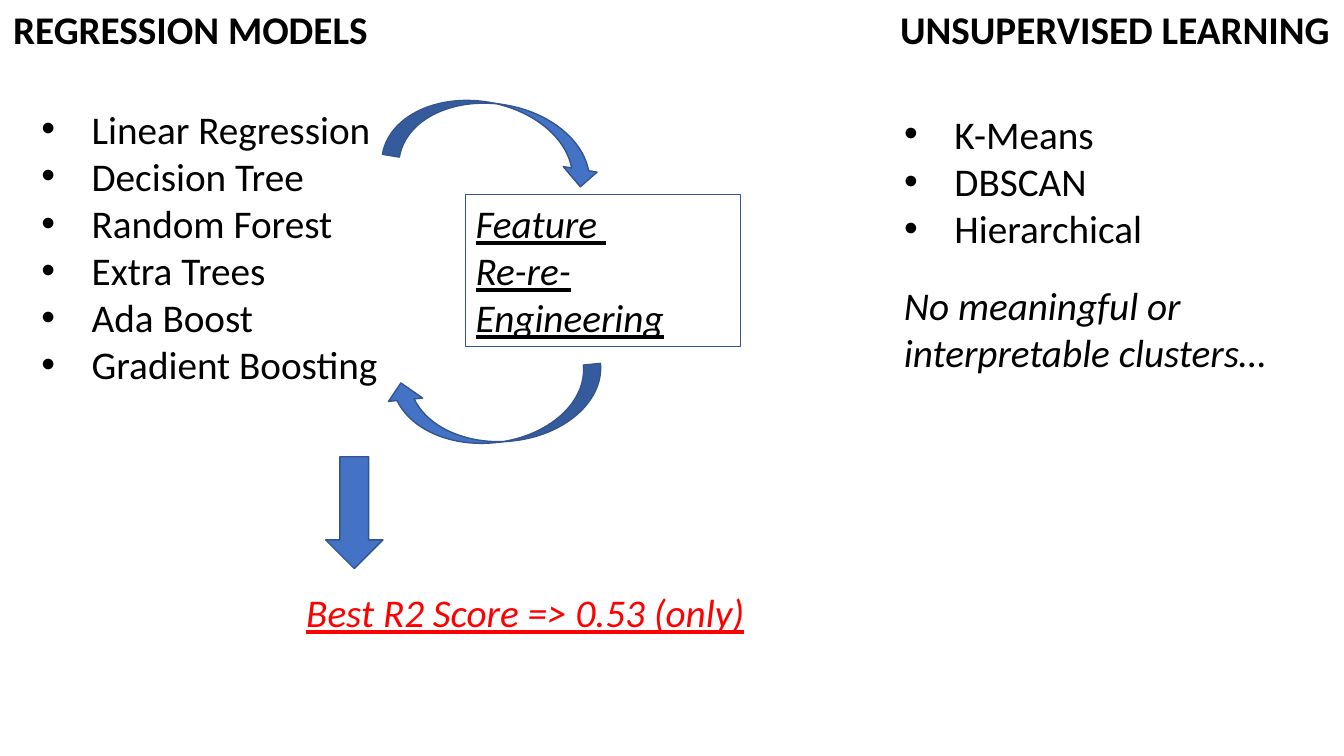
from dataclasses import dataclass
from lxml import etree
from pptx import Presentation
from pptx import util as u
from pptx.dml.color import RGBColor
from pptx.enum import shapes, text
from pptx.oxml.ns import qn

Kind = shapes.MSO_SHAPE
Side = text.PP_ALIGN


@dataclass(frozen=True)
class Theme:
    font: str = "Calibri"
    size: float = 28
    ink: str = "000000"
    alert: str = "FF0000"
    fill: str = "4472C4"
    edge: str = "325491"
    indent: float = 36


class Board:
    def __init__(self, slide, theme):
        self.slide = slide
        self.theme = theme

    def place(self, shape, box):
        shape.left, shape.top, shape.width, shape.height = map(u.Pt, box)

    def label(self, shape, lines, side=Side.LEFT, color=None, bold=False,
              slant=False, under=False):
        frame = shape.text_frame
        frame.text = "\n".join(lines)
        frame.word_wrap = True
        frame.auto_size = text.MSO_AUTO_SIZE.NONE
        frame.vertical_anchor = text.MSO_ANCHOR.TOP
        for para in frame.paragraphs:
            para.alignment = side
            para.space_before = u.Pt(0)
            for run in para.runs:
                font = run.font
                font.name = self.theme.font
                font.size = u.Pt(self.theme.size)
                font.bold, font.italic, font.underline = bold, slant, under
                font.color.rgb = RGBColor.from_string(color or self.theme.ink)

    def head(self, shape, line, box, side):
        self.place(shape, box)
        self.label(shape, [line], side, bold=True)

    def bullets(self, shape, lines, box):
        self.place(shape, box)
        self.label(shape, lines, Side.JUSTIFY)
        indent = u.Pt(self.theme.indent)
        for para in shape.text_frame.paragraphs:
            props = para._p.get_or_add_pPr()
            props.set("marL", str(indent))
            props.set("indent", str(-indent))
            etree.SubElement(props, qn("a:buFont"), typeface="Arial")
            etree.SubElement(props, qn("a:buChar"), char="•")

    def note(self, line, box, **style):
        shape = self.slide.shapes.add_textbox(*map(u.Pt, box))
        self.label(shape, [line], slant=True, **style)

    def shape(self, kind, box, fill=None, width=1, turn=0):
        shape = self.slide.shapes.add_shape(kind, *map(u.Pt, box))
        shape.shadow.inherit = False
        shape.rotation = turn
        if fill:
            shape.fill.solid()
            shape.fill.fore_color.rgb = RGBColor.from_string(fill)
        else:
            shape.fill.background()
        shape.line.color.rgb = RGBColor.from_string(self.theme.edge)
        shape.line.width = u.Pt(width)
        return shape


def main():
    deck = Presentation()
    deck.slide_width, deck.slide_height = u.Pt(960), u.Pt(540)
    slide = deck.slides.add_slide(deck.slide_layouts.get_by_name("Comparison"))
    theme = Theme()
    board = Board(slide, theme)
    slots = {p.placeholder_format.idx: p for p in slide.placeholders}
    spare = slots[1].element
    spare.getparent().remove(spare)

    board.head(slots[0], "REGRESSION MODELS", (2.2, 0, 291.6, 41), Side.LEFT)
    board.bullets(slots[2], ["Linear Regression", "Decision Tree", "Random Forest",
                             "Extra Trees", "Ada Boost", "Gradient Boosting"],
                  (22.3, 71.3, 331.2, 211))
    board.note("Best R2 Score => 0.53 (only)", (211.7, 416.9, 331.2, 41),
               side=Side.JUSTIFY, color=theme.alert, under=True)

    board.head(slots[3], "UNSUPERVISED LEARNING", (590.4, 0, 366.5, 41), Side.RIGHT)
    board.bullets(slots[4], ["K-Means", "DBSCAN", "Hierarchical"],
                  (638.6, 74.9, 309.6, 108.7))
    board.note("No meaningful or interpretable clusters…",
               (638.6, 197.3, 309.6, 74.9))

    for top, turn in ((20.9, 279.3), (213.8, 84.4)):
        board.shape(Kind.CURVED_LEFT_ARROW, (329.4, top, 49, 155.5),
                    theme.fill, turn=turn)
    card = board.shape(Kind.RECTANGLE, (332.6, 139, 196.6, 108.7), width=0.75)
    board.label(card, ["Feature ", "Re-re- Engineering"], Side.JUSTIFY,
                slant=True, under=True)
    board.shape(Kind.DOWN_ARROW, (232.6, 326.2, 41, 79.9), theme.fill)

    deck.save("out.pptx")


if __name__ == "__main__":
    main()
